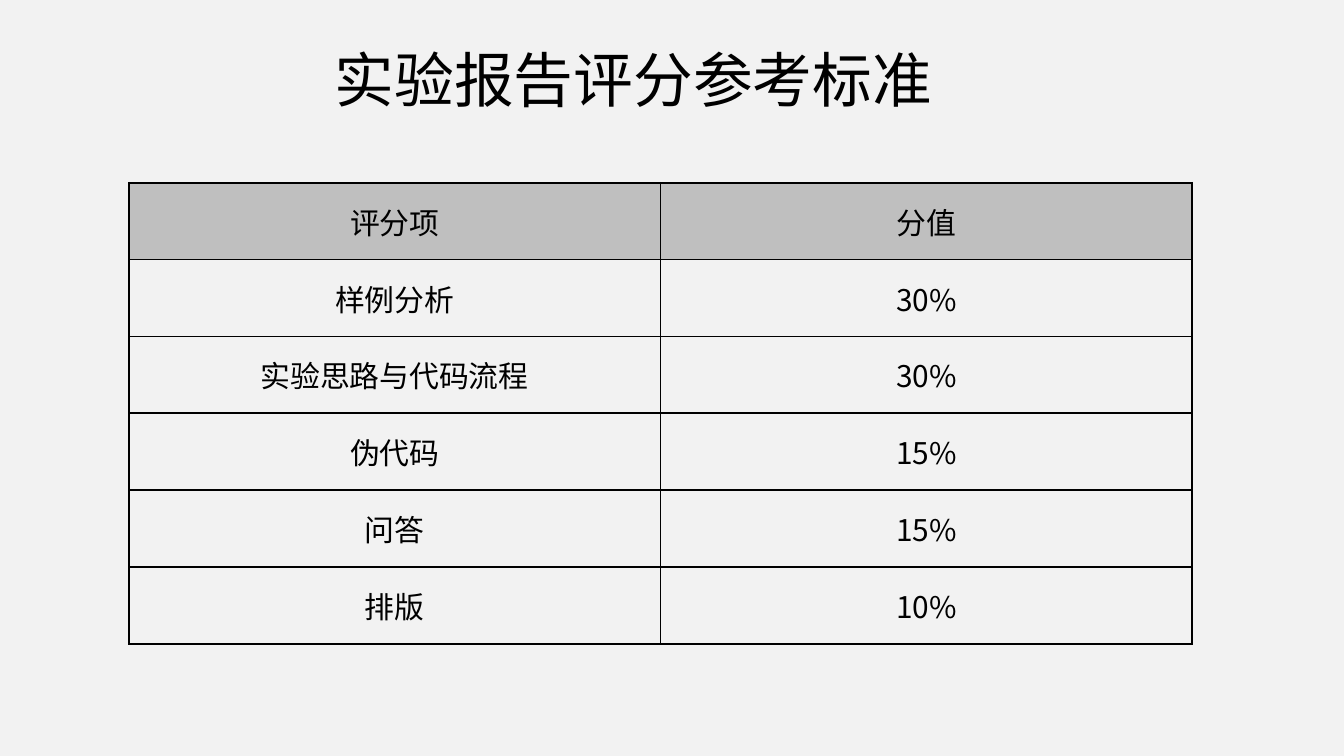
from lxml import etree
from pptx import Presentation
from pptx.dml.color import RGBColor
from pptx.enum.text import MSO_ANCHOR, PP_ALIGN
from pptx.oxml.ns import qn
from pptx.util import Inches, Pt

MIDDLE = MSO_ANCHOR.MIDDLE
CENTER = PP_ALIGN.CENTER
BLACK = RGBColor(0x00, 0x00, 0x00)
PALE = RGBColor(0xF2, 0xF2, 0xF2)
GREY = RGBColor(0xBF, 0xBF, 0xBF)
FONT = "Noto Sans CJK SC"

ROWS = [
    ("评分项", "分值"),
    ("样例分析", "30%"),
    ("实验思路与代码流程", "30%"),
    ("伪代码", "15%"),
    ("问答", "15%"),
    ("排版", "10%"),
]


def write(frame, text, size):
    frame.text = text
    line = frame.paragraphs[0]
    line.alignment = CENTER
    font = line.runs[0].font
    font.size = Pt(size)
    font.name = FONT
    font.color.rgb = BLACK
    latin = font._element.find(qn("a:latin"))
    east = etree.Element(qn("a:ea"), typeface=FONT)
    latin.addnext(east)


def border(cell):
    props = cell._tc.get_or_add_tcPr()
    for side in ("lnL", "lnR", "lnT", "lnB"):
        edge = etree.SubElement(props, qn(f"a:{side}"), w=str(Pt(1)))
        fill = etree.SubElement(edge, qn("a:solidFill"))
        etree.SubElement(fill, qn("a:srgbClr"), val=str(BLACK))


deck = Presentation()
deck.slide_width = Inches(10)
deck.slide_height = Inches(10) * 9 // 16
slide = deck.slides.add_slide(deck.slide_layouts[6])
back = slide.background.fill
back.solid()
back.fore_color.rgb = PALE

title = slide.shapes.add_textbox(Inches(2.38), Inches(0.27), Inches(4.67), Inches(0.64))
title.text_frame.word_wrap = True
write(title.text_frame, "实验报告评分参考标准", 32)

table = slide.shapes.add_table(
    len(ROWS), 2, Inches(0.96), Inches(1.36), Inches(7.91), Inches(3.43)
).table
table.horz_banding = False

for r, row in enumerate(ROWS):
    for c, text in enumerate(row):
        cell = table.cell(r, c)
        cell.vertical_anchor = MIDDLE
        write(cell.text_frame, text, 16)
        border(cell)
        if r == 0:
            cell.fill.solid()
            cell.fill.fore_color.rgb = GREY
        else:
            cell.fill.background()

deck.save("out.pptx")
